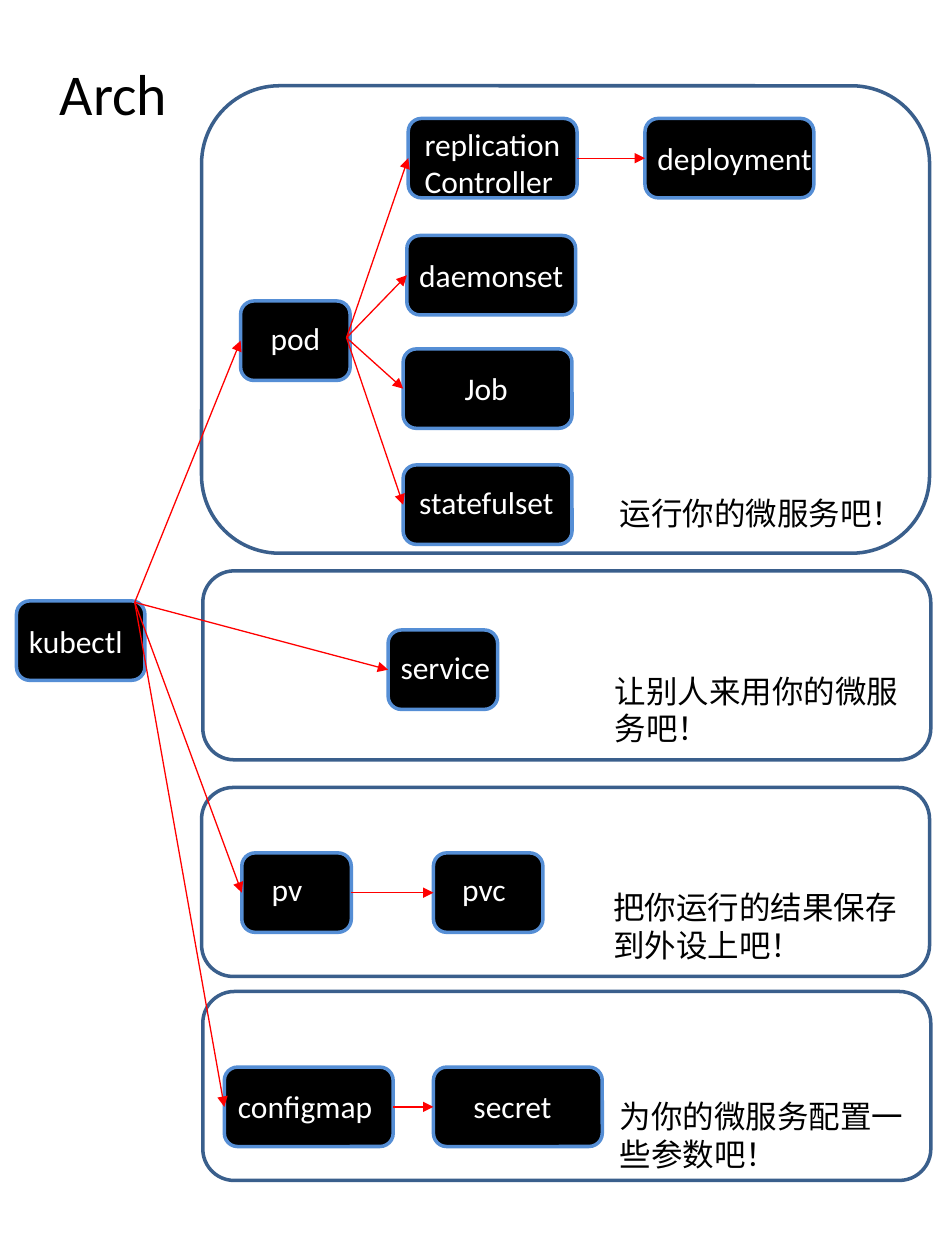
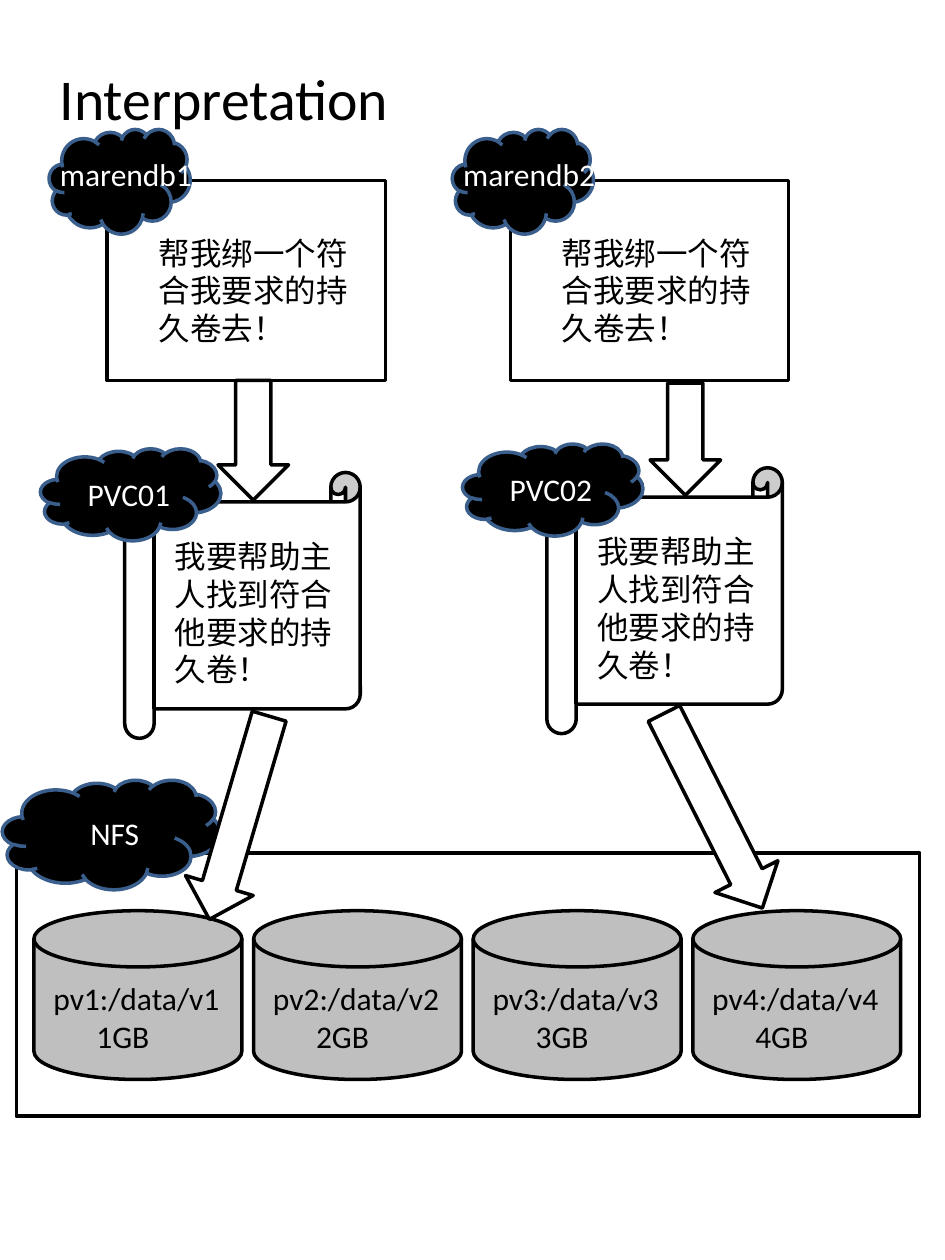
from dataclasses import dataclass

from lxml import etree
from pptx import Presentation
from pptx import util as u
from pptx.dml.color import RGBColor
from pptx.enum import shapes, text
from pptx.oxml.ns import qn

Pt = u.Pt
Shape = shapes.MSO_SHAPE

# Shared style
FONT = "Calibri"
BODY, HEADING = 18, 33
BLACK, WHITE, GREY = "000000", "FFFFFF", "BFBFBF"
NODE_LINE, ZONE_LINE, RED = "558ED5", "3A5F8C", "FF0000"
LINE_HEIGHT = 21.6
NODE_HEIGHT = 45.4
SMALL, LARGE = 62.6, 96.5


@dataclass
class Node:
    label: str
    x: float
    y: float
    w: float
    dx: float  # label offset from the node corner
    dy: float
    label_w: float
    lines: int = 1


@dataclass
class Zone:
    x: float
    y: float
    h: float
    note: str
    note_x: float
    note_y: float
    lines: int = 2


@dataclass
class Cloud:
    label: str
    x: float
    y: float
    w: float
    h: float
    dx: float
    dy: float
    label_w: float = 64.8


@dataclass
class Arrow:
    x: float
    y: float
    h: float
    angle: float = 0


def rgb(value: str) -> RGBColor:
    return RGBColor.from_string(value)


def add_text(s, lines: list[str], x: float, y: float, w: float, h: float,
             colour: str = BLACK, size: float = BODY):
    tb = s.shapes.add_textbox(Pt(x), Pt(y), Pt(w), Pt(h))
    tf = tb.text_frame
    tf.word_wrap = True
    tf.text = "\n".join(lines)
    for p in tf.paragraphs:
        for r in p.runs:
            r.font.name = FONT
            r.font.size = Pt(size)
            r.font.color.rgb = rgb(colour)
    return tb


def add_label(s, label: str, x: float, y: float, w: float,
              colour: str = BLACK, lines: int = 1) -> None:
    add_text(s, [label], x, y, w, 7.2 + LINE_HEIGHT * lines, colour)


def add_title(s, title: str, h: float) -> None:
    tb = add_text(s, [title], 27, 28.8, 486, h, size=HEADING)
    tb.text_frame.vertical_anchor = text.MSO_ANCHOR.MIDDLE


def add_box(s, kind, x: float, y: float, w: float, h: float,
            fill: str | None = WHITE, line: str = BLACK):
    sp = s.shapes.add_shape(kind, Pt(x), Pt(y), Pt(w), Pt(h))
    sp.shadow.inherit = False
    if fill is None:
        sp.fill.background()
    else:
        sp.fill.solid()
        sp.fill.fore_color.rgb = rgb(fill)
    sp.line.color.rgb = rgb(line)
    sp.line.width = Pt(2)
    return sp


def add_node(s, n: Node):
    sp = add_box(s, Shape.ROUNDED_RECTANGLE, n.x, n.y, n.w, NODE_HEIGHT,
                 BLACK, NODE_LINE)
    add_label(s, n.label, n.x + n.dx, n.y + n.dy, n.label_w, WHITE, n.lines)
    return sp


def add_zone(s, z: Zone) -> None:
    add_box(s, Shape.ROUNDED_RECTANGLE, z.x, z.y, 416, z.h, None, ZONE_LINE)
    add_label(s, z.note, z.note_x, z.note_y, 181.4, lines=z.lines)


def add_cloud(s, c: Cloud) -> None:
    add_box(s, Shape.CLOUD, c.x, c.y, c.w, c.h, BLACK, ZONE_LINE)
    add_label(s, c.label, c.x + c.dx, c.y + c.dy, c.label_w, WHITE)


def add_link(s, target, start: tuple[float, float] | None = None,
             source=None) -> None:
    """Red arrow from a point, or a node's right side, to a node's left."""
    x, y = start or (0, 0)
    c = s.shapes.add_connector(shapes.MSO_CONNECTOR.STRAIGHT,
                               Pt(x), Pt(y), Pt(x), Pt(y))
    if source is not None:
        c.begin_connect(source, 3)
    c.end_connect(target, 1)
    c.line.color.rgb = rgb(RED)
    c.line.width = Pt(0.75)
    etree.SubElement(c.line._get_or_add_ln(), qn("a:tailEnd"),
                     type="triangle")
    etree.SubElement(c._element.spPr, qn("a:effectLst"))


prs = Presentation()
prs.slide_width, prs.slide_height = Pt(540), Pt(720)
blank = prs.slide_layouts[6]

# Slide 1: architecture
s = prs.slides.add_slide(blank)
add_title(s, "Arch", 47.5)

NODES = [
    Node("pod", 137.5, 172, SMALL, 10, 6.5, 51),
    Node("replicationController", 233.3, 67.7, LARGE, 2.2, 0, 94.3, 2),
    Node("deployment", 368.6, 67.7, LARGE, 0, 8, 108),
    Node("daemonset", 232.5, 134.6, LARGE, 0, 8, 108),
    Node("Job", 230.4, 199.4, LARGE, 28, 8, 79.6),
    Node("statefulset", 230.4, 265.7, LARGE, 2.1, 6.5, 108),
    Node("pv", 138.2, 487.4, SMALL, 10, 6.5, 58.3),
    Node("pvc", 247.7, 487.4, SMALL, 9.3, 6.5, 58.3),
    Node("configmap", 128.2, 609.8, LARGE, 0.7, 8, 96.5),
    Node("secret", 247.7, 609.8, LARGE, 15.8, 8, 67),
    Node("kubectl", 9.4, 343.4, 73.4, 0, 8.7, 85),
    Node("service", 221.8, 360, SMALL, 0, 6.5, 72),
]
nodes = {n.label: add_node(s, n) for n in NODES}

# Zones with their notes
for zone in [
    Zone(115.2, 49, 267.1, "运行你的微服务吧！", 347, 278.6, 1),
    Zone(115.9, 326.2, 108, "让别人来用你的微服务吧！", 344.2, 380.2),
    Zone(115.2, 450, 108, "把你运行的结果保存到外设上吧！", 343.4, 504),
    Zone(115.9, 566.6, 108, "为你的微服务配置一些参数吧！", 347, 623.5),
]:
    add_zone(s, zone)

# Fans out of kubectl and pod, then side-by-side links
FANS = {
    (77, 344.2): ["pod", "service", "pv", "configmap"],
    (198, 193): ["replicationController", "daemonset", "Job", "statefulset"],
}
for hub, targets in FANS.items():
    for target in targets:
        add_link(s, nodes[target], start=hub)
for source, target in [("replicationController", "deployment"),
                       ("pv", "pvc"), ("configmap", "secret")]:
    add_link(s, nodes[target], source=nodes[source])

# Slide 2: interpretation
s = prs.slides.add_slide(blank)
add_title(s, "Interpretation", 53.3)

# Storage with four volumes
add_box(s, Shape.RECTANGLE, 9.4, 487.4, 516.2, 150.5)
for i in range(4):
    x = 19.4 + 125.5 * i
    add_box(s, Shape.FLOWCHART_MAGNETIC_DISK, x, 520.4, 118.8, 96.5, GREY)
    tb = add_text(s, [f"pv{i + 1}:/data/v{i + 1}", f"{i + 1}GB"],
                  x + 4, 555.8, 118.8, 51)
    size_line = tb.text_frame.paragraphs[1]
    size_line._p.get_or_add_pPr().set("marL", str(Pt(24.6)))
add_cloud(s, Cloud("NFS", 1.4, 445.7, 124.6, 62.6, 43.2, 15.8))

# Claims
for i in range(2):
    x, y = 241.2 * i, -2.7 * i
    add_box(s, Shape.HORIZONTAL_SCROLL, 71.3 + x, 270 + y, 134.6, 151.9)
    add_label(s, "我要帮助主人找到符合他要求的持久卷！",
              92.9 + x, 303.4 + y, 116.6, lines=4)
    add_cloud(s, Cloud(f"PVC0{i + 1}", 23.2 + x, 256.3 + y,
                       103, 52.6, 19.8, 11.5))

# Databases
for i in range(2):
    x = 230.4 * i
    add_box(s, Shape.RECTANGLE, 61.2 + x, 103, 159.1, 114.5)
    add_cloud(s, Cloud(f"marendb{i + 1}", 28.1 + x, 73.8,
                       80.6, 59.8, -0.9, 11.5, 161.3))
    add_label(s, "帮我绑一个符合我要求的持久卷去！",
              83.5 + x, 130, 136.1, lines=3)

# Block arrows from database to claim to volume
for a in [Arrow(124.6, 217.4, 68.4), Arrow(371.5, 218.9, 64.1),
          Arrow(116.6, 406.8, 121, 16.4), Arrow(387.4, 401, 124.6, 333.2)]:
    sp = add_box(s, Shape.DOWN_ARROW, a.x, a.y, 40.3, a.h)
    sp.rotation = a.angle

prs.save("out.pptx")
